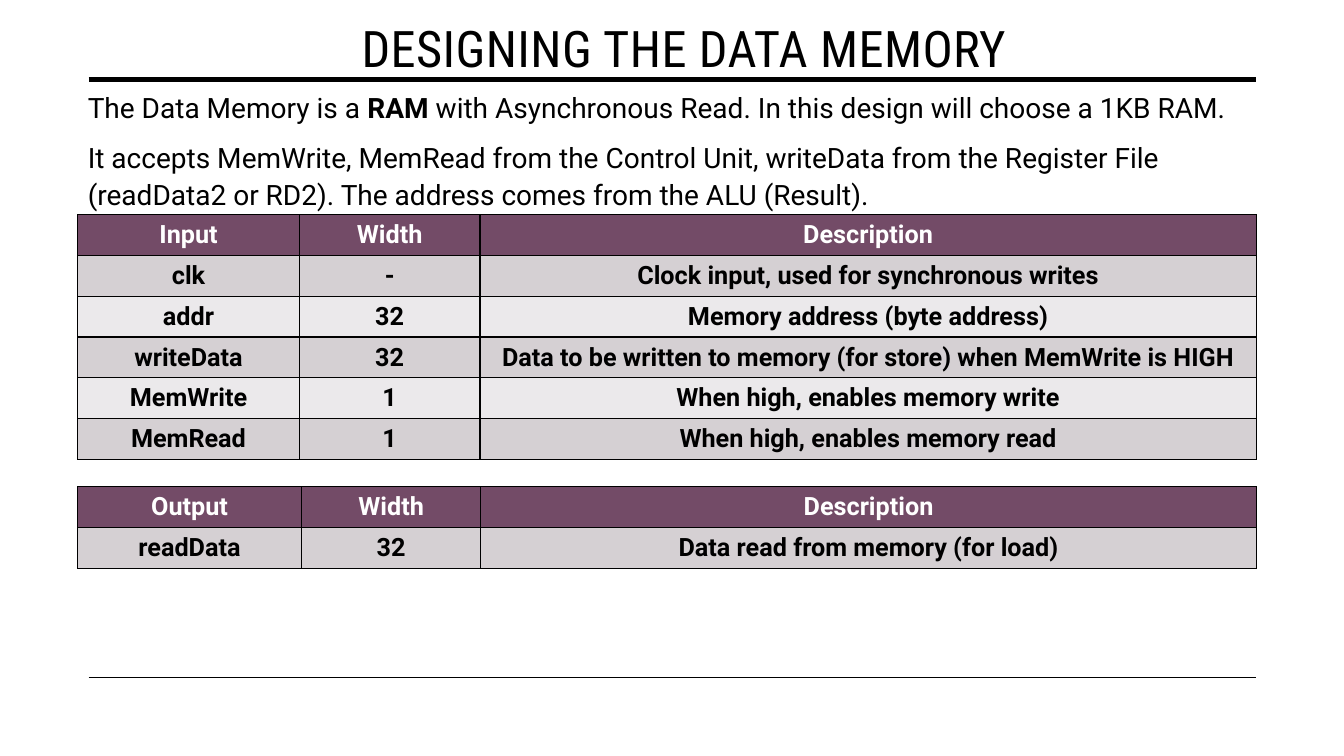
from lxml import etree
from pptx import Presentation
from pptx import util as u
from pptx.dml.color import RGBColor
from pptx.enum import shapes, text
from pptx.oxml import ns

BLACK = RGBColor(0x00, 0x00, 0x00)
WHITE = RGBColor(0xFF, 0xFF, 0xFF)
PLUM = RGBColor(0x73, 0x4B, 0x67)
BANDS = (RGBColor(0xD5, 0xD0, 0xD3), RGBColor(0xEB, 0xE9, 0xEB))

SLIDE_WIDTH, SLIDE_HEIGHT = u.Inches(13.33), u.Inches(7.5)

# Shares of the slide's size, in percent
CONTENT_LEFT, CONTENT_WIDTH = 5.78, 87.7
RULE_LEFT, RULE_RIGHT = 6.6, 93.47
ROW_HEIGHT = 5.4

TITLE_FONT = {"name": "Roboto Condensed", "size": u.Pt(36), "bold": False}
BODY_FONT = {"name": "Roboto", "size": u.Pt(20)}
CELL_FONT = {"name": "Roboto", "size": u.Pt(18), "bold": True}
BODY_PARAGRAPH = {"alignment": text.PP_ALIGN.LEFT, "line_spacing": 1.1,
                  "space_before": u.Pt(10), "space_after": u.Pt(0)}

PARAGRAPHS = [
    [("The Data Memory is a ", False), ("RAM", True),
     (" with Asynchronous Read. In this design will choose a 1KB RAM.", False)],
    [("It accepts MemWrite, MemRead from the Control Unit, writeData from the "
      "Register File (readData2 or RD2). The address comes from the ALU (Result).", False)],
]
INPUTS = [
    ("Input", "Width", "Description"),
    ("clk", "-", "Clock input, used for synchronous writes"),
    ("addr", "32", "Memory address (byte address)"),
    ("writeData", "32", "Data to be written to memory (for store) when MemWrite is HIGH"),
    ("MemWrite", "1", "When high, enables memory write"),
    ("MemRead", "1", "When high, enables memory read"),
]
OUTPUTS = [
    ("Output", "Width", "Description"),
    ("readData", "32", "Data read from memory (for load)"),
]


def across(percent):
    return u.Emu(round(SLIDE_WIDTH * percent / 100))


def down(percent):
    return u.Emu(round(SLIDE_HEIGHT * percent / 100))


def set_attributes(target, values):
    for name, value in values.items():
        setattr(target, name, value)


def add_run(paragraph, words, font, color):
    run = paragraph.add_run()
    run.text = words
    set_attributes(run.font, font)
    run.font.color.rgb = color
    return run


def place(shape, left, top, width, height, anchor):
    set_attributes(shape, {"left": across(left), "top": down(top),
                           "width": across(width), "height": down(height)})
    set_attributes(shape.text_frame, {"word_wrap": True, "vertical_anchor": anchor,
                                      "auto_size": text.MSO_AUTO_SIZE.NONE})


def add_rule(slide, top, weight):
    rule = slide.shapes.add_connector(
        shapes.MSO_CONNECTOR.STRAIGHT,
        across(RULE_LEFT), down(top), across(RULE_RIGHT), down(top))
    rule.line.color.rgb = BLACK
    rule.line.width = u.Pt(weight)
    etree.SubElement(rule._element.spPr, ns.qn("a:effectLst"))


def fill_title(title, words):
    place(title, 7.05, 1.73, CONTENT_WIDTH, 9.07, text.MSO_ANCHOR.MIDDLE)
    paragraph = title.text_frame.paragraphs[0]
    paragraph.alignment = text.PP_ALIGN.CENTER
    run = add_run(paragraph, words, TITLE_FONT, BLACK)
    run.font._element.set("spc", "30")


def fill_body(body, paragraphs):
    place(body, CONTENT_LEFT, 10.8, CONTENT_WIDTH, 78.27, text.MSO_ANCHOR.TOP)
    frame = body.text_frame
    for index, runs in enumerate(paragraphs):
        paragraph = frame.add_paragraph() if index else frame.paragraphs[0]
        set_attributes(paragraph, BODY_PARAGRAPH)
        # No bullet and no hanging indent
        properties = paragraph._p.get_or_add_pPr()
        properties.set("marL", "0")
        properties.set("indent", "0")
        etree.SubElement(properties, ns.qn("a:buNone"))
        for words, bold in runs:
            add_run(paragraph, words, {**BODY_FONT, "bold": bold}, BLACK)


def add_borders(cell):
    properties = cell._tc.get_or_add_tcPr()
    for side in ("lnL", "lnR", "lnT", "lnB"):
        line = etree.SubElement(properties, ns.qn(f"a:{side}"), w=str(u.Pt(1)))
        fill = etree.SubElement(line, ns.qn("a:solidFill"))
        etree.SubElement(fill, ns.qn("a:srgbClr"), val=str(BLACK))


def fill_cell(cell, words, fill, color):
    add_borders(cell)
    cell.fill.solid()
    cell.fill.fore_color.rgb = fill
    cell.vertical_anchor = text.MSO_ANCHOR.MIDDLE
    paragraph = cell.text_frame.paragraphs[0]
    paragraph.alignment = text.PP_ALIGN.CENTER
    add_run(paragraph, words, CELL_FONT, color)


def add_signal_table(slide, top, column_widths, records):
    table = slide.shapes.add_table(
        len(records), len(column_widths), across(CONTENT_LEFT), down(top),
        across(CONTENT_WIDTH), down(ROW_HEIGHT * len(records))).table
    for column, width in zip(table.columns, column_widths):
        column.width = across(width)
    for row_index, record in enumerate(records):
        table.rows[row_index].height = down(ROW_HEIGHT)
        fill = BANDS[(row_index - 1) % 2] if row_index else PLUM
        color = BLACK if row_index else WHITE
        for column_index, words in enumerate(record):
            fill_cell(table.cell(row_index, column_index), words, fill, color)


def main():
    presentation = Presentation()
    set_attributes(presentation, {"slide_width": SLIDE_WIDTH, "slide_height": SLIDE_HEIGHT})
    slide = presentation.slides.add_slide(presentation.slide_layouts[1])

    # Rules under the title and above the footer
    add_rule(slide, 10.53, 3.5)
    add_rule(slide, 89.6, 1)

    # Title and introduction
    fill_title(slide.shapes.title, "DESIGNING THE DATA MEMORY")
    fill_body(slide.placeholders[1], PARAGRAPHS)

    # Signal tables
    add_signal_table(slide, 28.4, (16.5, 13.43, 57.77), INPUTS)
    add_signal_table(slide, 64.4, (16.65, 13.35, 57.7), OUTPUTS)

    presentation.save("out.pptx")


if __name__ == "__main__":
    main()
